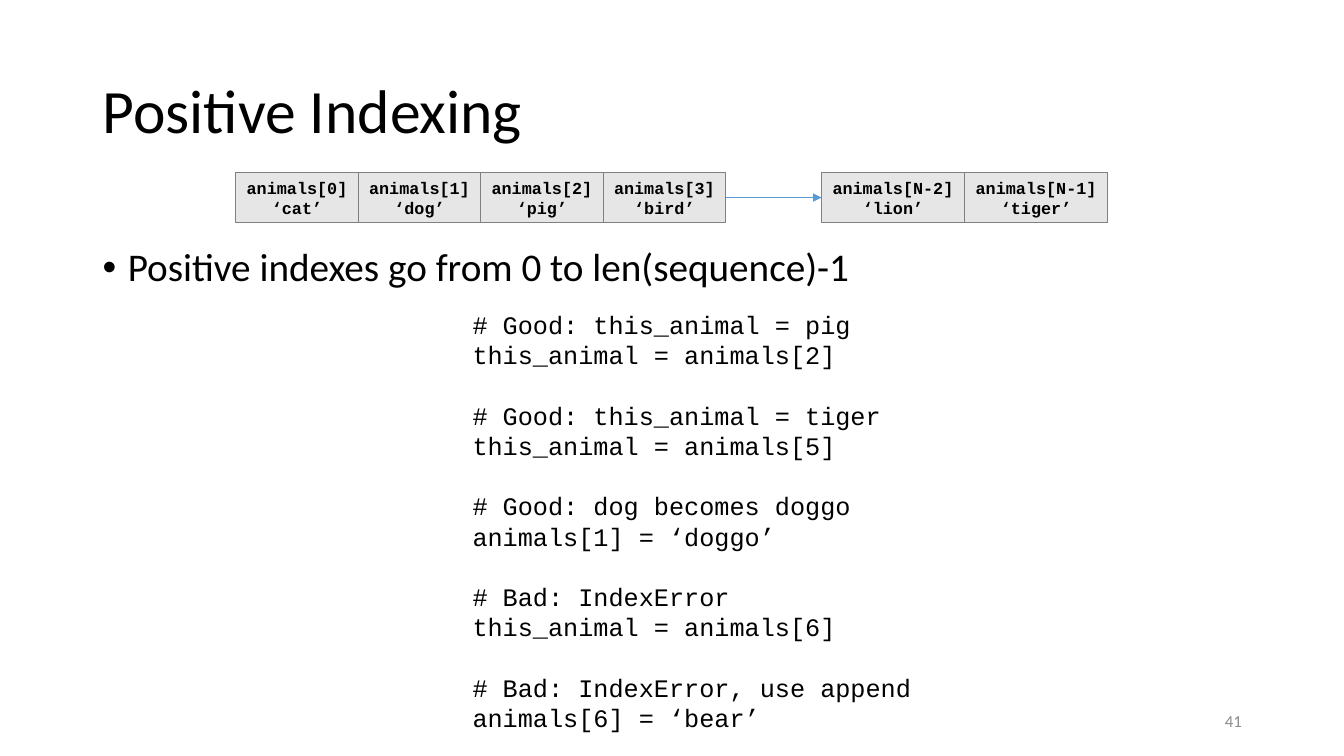
from lxml import etree
from pptx import Presentation
from pptx import util as u
from pptx.dml.color import RGBColor
from pptx.enum import shapes, text
from pptx.oxml.ns import qn

PX = 4572
INK = {"black": "000000", "cell": "E7E6E6", "edge": "808080", "link": "5B9BD5", "page": "8C8C8C"}
SANS, MONO = "Calibri", "Courier New"
ALIGN, ANCHOR = text.PP_ALIGN, text.MSO_ANCHOR
TOP, HIGH = 342, 100
HEAD = [("animals[0]", "‘cat’"), ("animals[1]", "‘dog’"),
        ("animals[2]", "‘pig’"), ("animals[3]", "‘bird’")]
TAIL = [("animals[N-2]", "‘lion’"), ("animals[N-1]", "‘tiger’")]
CODE = [
    ("# Good: this_animal = pig", "this_animal = animals[2]"),
    ("# Good: this_animal = tiger", "this_animal = animals[5]"),
    ("# Good: dog becomes doggo", "animals[1] = ‘doggo’"),
    ("# Bad: IndexError", "this_animal = animals[6]"),
    ("# Bad: IndexError, use append", "animals[6] = ‘bear’"),
]


def px(*sizes):
    return [u.Emu(size * PX) for size in sizes]


def color(name):
    return RGBColor.from_string(INK[name])


def write(frame, lines, size, font, ink="black", bold=False, align=ALIGN.LEFT):
    paras = []
    for i, line in enumerate(lines):
        para = frame.paragraphs[0] if i == 0 else frame.add_paragraph()
        para.alignment = align
        run = para.add_run()
        run.text = line
        run.font.size = u.Pt(size)
        run.font.name = font
        run.font.bold = bold
        run.font.color.rgb = color(ink)
        paras.append(para)
    return paras


def add_box(slide, area, lines, size, font, anchor=ANCHOR.TOP, wrap=True, **style):
    frame = slide.shapes.add_textbox(*px(*area)).text_frame
    frame.word_wrap = wrap
    frame.vertical_anchor = anchor
    return write(frame, lines, size, font, **style)


def add_cells(slide, left, width, items):
    for i, item in enumerate(items):
        cell = slide.shapes.add_shape(shapes.MSO_SHAPE.RECTANGLE,
                                      *px(left + i * width, TOP, width, HIGH))
        cell.shadow.inherit = False
        cell.fill.solid()
        cell.fill.fore_color.rgb = color("cell")
        cell.line.color.rgb = color("edge")
        cell.line.width = u.Pt(0.75)
        frame = cell.text_frame
        frame.word_wrap = False
        frame.vertical_anchor = ANCHOR.TOP
        write(frame, item, 12, MONO, bold=True, align=ALIGN.CENTER)


def add_arrow(slide, start, end):
    mid = TOP + HIGH // 2
    arrow = slide.shapes.add_connector(shapes.MSO_CONNECTOR.STRAIGHT, *px(start, mid, end, mid))
    arrow.line.color.rgb = color("link")
    arrow.line.width = u.Pt(0.5)
    etree.SubElement(arrow.line._get_or_add_ln(), qn("a:tailEnd"), type="triangle")
    etree.SubElement(arrow._element.spPr, qn("a:effectLst"))


def add_bullet(para):
    para.space_before = u.Pt(10)
    props = para._p.get_or_add_pPr()
    props.set("marL", str(50 * PX))
    props.set("indent", str(-50 * PX))
    etree.SubElement(props, qn("a:buFont"), typeface="Arial")
    etree.SubElement(props, qn("a:buChar"), char="•")


def add_code(slide, area, blocks):
    lines = [line for block in blocks for line in block]
    paras = add_box(slide, area, lines, 18, MONO, wrap=False)
    for para in paras[2::2]:
        para.space_before = u.Pt(21.6)


def main():
    deck = Presentation()
    deck.slide_width, deck.slide_height = px(2667, 1500)
    slide = deck.slides.add_slide(deck.slide_layouts[6])
    title, = add_box(slide, (184, 80, 2300, 290), ["Positive Indexing"], 44, SANS, ANCHOR.MIDDLE)
    title.line_spacing = 0.9
    point, = add_box(slide, (184, 482, 2300, 868),
                     ["Positive indexes go from 0 to len(sequence)-1"], 28, SANS)
    point.line_spacing = 0.9
    add_bullet(point)
    add_box(slide, (1884, 1390, 600, 80), ["41"], 12, SANS, ANCHOR.MIDDLE,
            ink="page", align=ALIGN.RIGHT)
    add_cells(slide, 468, 243, HEAD)
    add_cells(slide, 1630, 284, TAIL)
    add_arrow(slide, 1440, 1630)
    add_code(slide, (918, 604, 914, 868), CODE)
    deck.save("out.pptx")


if __name__ == "__main__":
    main()
